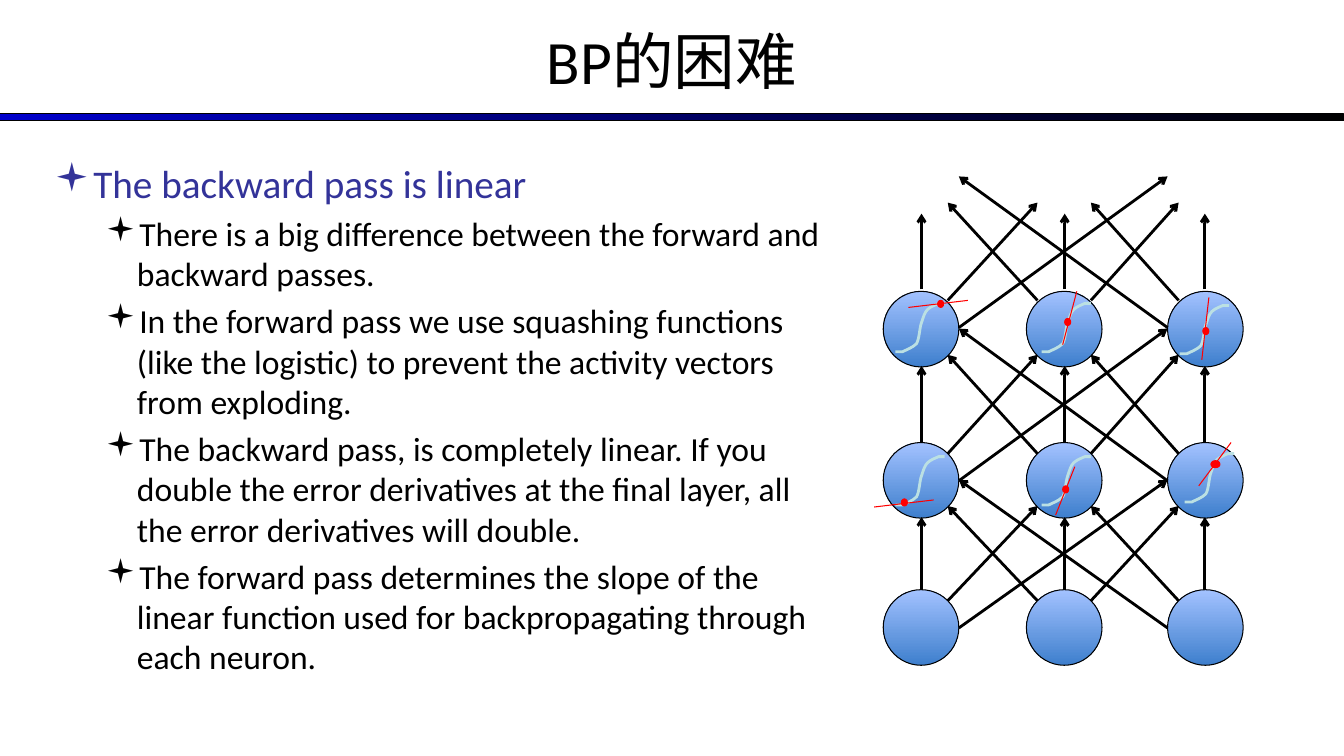
from lxml.etree import SubElement
from pptx import Presentation
from pptx.dml.color import RGBColor
from pptx.enum.shapes import MSO_CONNECTOR as LINK, MSO_SHAPE as SHAPE
from pptx.enum.text import MSO_ANCHOR as ANCHOR, PP_ALIGN as ALIGN
from pptx.oxml.ns import qn
from pptx.util import Pt

PX = 9144
FONT = "Calibri"
COLORS = {
    "black": "000000", "rule": "0000CC", "heading": "333399",
    "node_dark": "3E7FCD", "node_light": "A3C2FF",
    "curve": "BBE0E3", "slope": "FF0000",
}
INK = {name: RGBColor.from_string(value) for name, value in COLORS.items()}

deck = Presentation()
deck.slide_width, deck.slide_height = 1333 * PX, 750 * PX
slide = deck.slides.add_slide(deck.slide_layouts[6])
shapes = slide.shapes


def add_filled(kind, box, stops, outline, angle=0):
    shape = shapes.add_shape(kind, *(value * PX for value in box))
    shape.shadow.inherit = False
    if len(stops) == 1:
        shape.fill.solid()
        shape.fill.fore_color.rgb = INK[stops[0]]
    else:
        shape.fill.gradient()
        shape.fill.gradient_angle = angle
        for stop, color in zip(shape.fill.gradient_stops, stops):
            stop.color.rgb = INK[color]
    shape.line.color.rgb = INK[outline]
    shape.line.width = Pt(0.75)


def add_line(ends, color, width, arrow=False):
    line = shapes.add_connector(LINK.STRAIGHT, *(value * PX for value in ends))
    line.line.color.rgb = INK[color]
    line.line.width = Pt(width)
    if arrow:
        SubElement(line.line._get_or_add_ln(), qn("a:tailEnd"), type="arrow")
    SubElement(line._element.spPr, qn("a:effectLst"))


add_filled(SHAPE.RECTANGLE, (0, 113, 1333, 7), ("rule", "black"), "black")

title = shapes.add_textbox(0, -3 * PX, 1333 * PX, 125 * PX).text_frame
title.word_wrap = True
title.vertical_anchor = ANCHOR.MIDDLE
title.paragraphs[0].alignment = ALIGN.CENTER
title_run = title.paragraphs[0].add_run()
title_run.text = "BP的困难"
title_run.font.name = FONT
title_run.font.size = Pt(44)
title_run.font.color.rgb = INK["black"]

points = [
    (0, "The backward pass is linear"),
    (1, "There is a big difference between the forward and backward passes."),
    (1, "In the forward pass we use squashing functions (like the logistic) "
        "to prevent the activity vectors from exploding."),
    (1, "The backward pass, is completely linear. If you double the error "
        "derivatives at the final layer, all the error derivatives will double."),
    (1, "The forward pass determines the slope of the linear function used "
        "for backpropagating through each neuron."),
]
levels = [(28, "heading", 38, -38), (24, "black", 82, -31)]
body = shapes.add_textbox(44 * PX, 153 * PX, 797 * PX, 517 * PX).text_frame
body.word_wrap = True
for number, (level, sentence) in enumerate(points):
    size, color, margin, indent = levels[level]
    point = body.add_paragraph() if number else body.paragraphs[0]
    point.level = level
    if number:
        point.space_before = Pt(4.8)
    bullet = point._p.get_or_add_pPr()
    bullet.set("marL", str(margin * PX))
    bullet.set("indent", str(indent * PX))
    SubElement(SubElement(bullet, qn("a:buClr")), qn("a:srgbClr"), val=COLORS[color])
    SubElement(bullet, qn("a:buFont"), typeface="Wingdings", charset="2")
    SubElement(bullet, qn("a:buChar"), char="▪")
    run = point.add_run()
    run.text = sentence
    run.font.name = FONT
    run.font.size = Pt(size)
    run.font.color.rgb = INK[color]

for top in (585, 439, 289):
    for left in (876, 1018, 1158):
        add_filled(SHAPE.OVAL, (left, top, 75, 75),
                   ("node_dark", "node_light"), "black", angle=90)

link_groups = [
    (0, 74, [(914, 914), (1056, 1056), (1195, 1195)]),
    (11, 63, [(940, 1029), (1082, 1169), (1029, 940), (1169, 1082)]),
    (38, 37, [(951, 1158), (1158, 951)]),
]
for lower_top, upper_top in ((585, 439), (439, 289), (287, 138)):
    for start_drop, end_drop, spans in link_groups:
        for start_x, end_x in spans:
            add_line((start_x, lower_top + start_drop, end_x, upper_top + end_drop),
                     "black", 2, arrow=True)

sigmoid = [(2, 48), (4, 48), (7, 48), (11, 46), (17, 44), (21, 40),
           (24, 35), (24, 24), (26, 19), (28, 13), (29, 9), (32, 6),
           (35, 3), (41, 1), (43, 0), (46, 0), (49, 0), (49, 0)]
for left, top in ((1033, 301), (1170, 303), (888, 301),
                  (1033, 453), (1175, 450), (888, 453)):
    outline = shapes.build_freeform(left * PX, (top + 48) * PX)
    outline.add_line_segments([((left + x) * PX, (top + y) * PX)
                               for x, y in sigmoid], close=False)
    squash = outline.convert_to_shape()
    squash.shadow.inherit = False
    squash.fill.background()
    squash.line.color.rgb = INK["curve"]
    squash.line.width = Pt(2)
    track = squash._element.find(".//" + qn("a:path"))
    corners = track.findall(qn("a:lnTo"))
    for first in range(0, len(corners), 3):
        bend = SubElement(track, qn("a:cubicBezTo"))
        for corner in corners[first:first + 3]:
            bend.append(corner[0])
            track.remove(corner)

for left, top, width in ((894, 495, 6), (1054, 482, 6), (1201, 457, 9),
                         (1056, 316, 6), (930, 298, 6), (1193, 325, 6)):
    add_filled(SHAPE.OVAL, (left, top, width, 7), ("slope",), "slope")

for tangent in ((901, 305, 960, 298), (867, 503, 926, 496), (1054, 342, 1068, 289),
                (1192, 357, 1199, 295), (1047, 511, 1066, 463), (1189, 482, 1221, 439)):
    add_line(tangent, "slope", 0.75)

deck.save("out.pptx")
